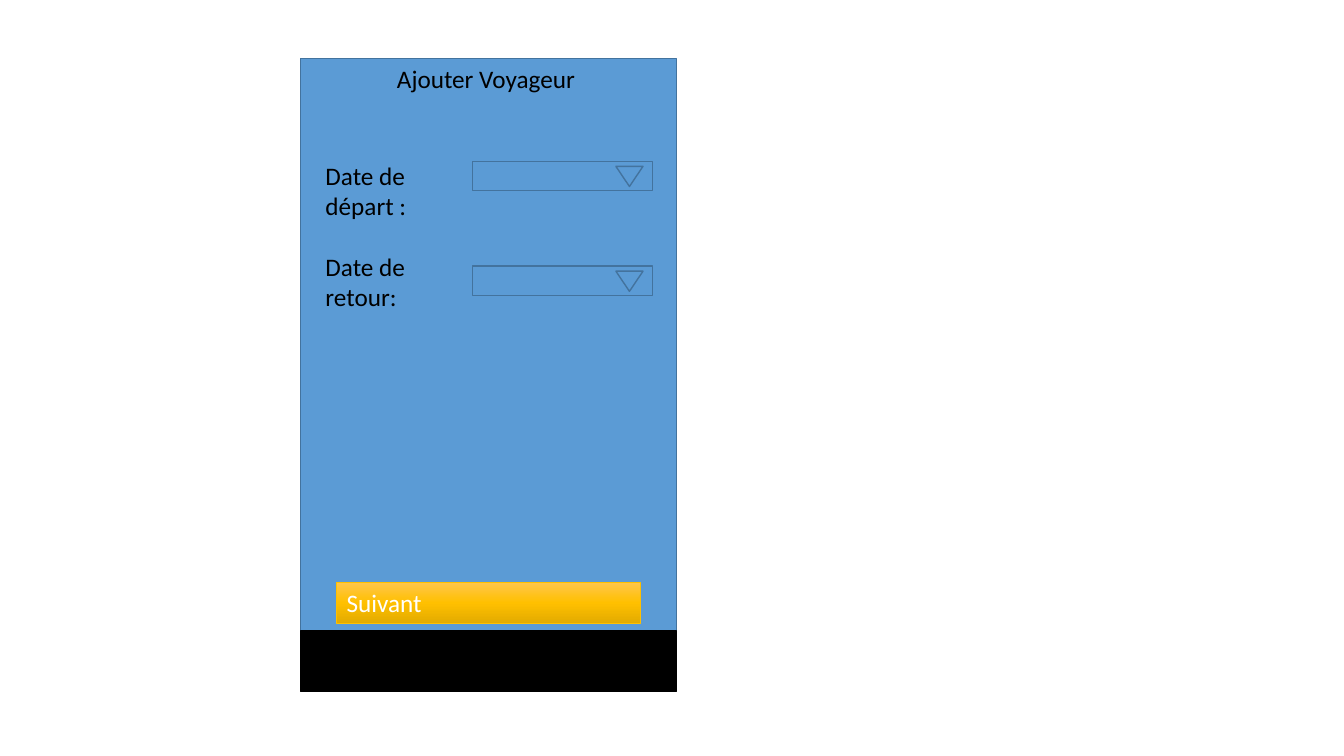
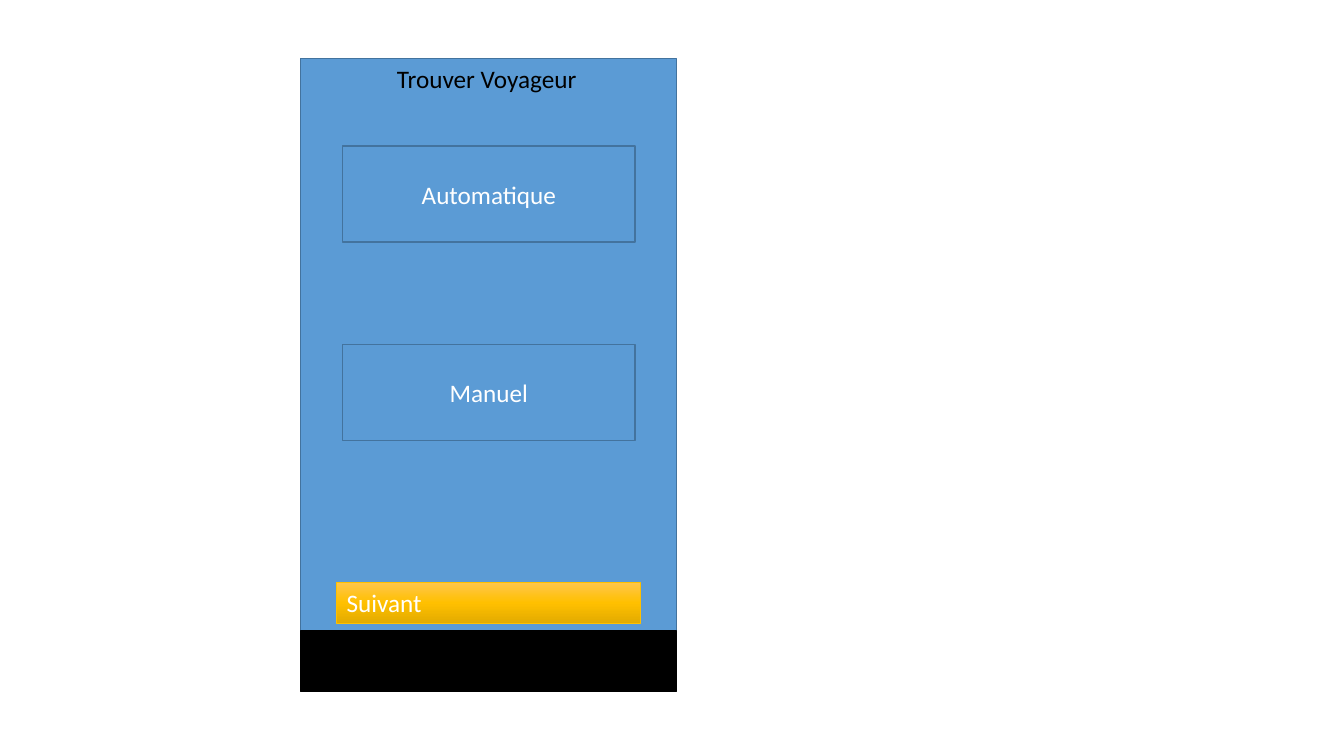
from copy import deepcopy

from pptx import Presentation
from pptx.dml import color
from pptx.enum import shapes, text
from pptx.oxml import ns
from pptx.util import Pt

COLORS = {
    "screen": "5B9BD5",
    "outline": "43739E",
    "black": "000000",
    "white": "FFFFFF",
    "gold_light": "FFC64B",
    "gold": "FFC000",
    "gold_dark": "E3AB00",
}
FONT = "Calibri"
TEXT_SIZE = 18
PHONE = (214.6, 41.8, 268.6, 451.4)
RECTANGLE = shapes.MSO_SHAPE.RECTANGLE
TRIANGLE = shapes.MSO_SHAPE.ISOSCELES_TRIANGLE


def rgb(name):
    return color.RGBColor.from_string(COLORS[name])


def within(box, left, top, width, height):
    return box[0] + left, box[1] + top, width, height


def write(shape, content, color_name, align=text.PP_ALIGN.LEFT, anchor=text.MSO_ANCHOR.TOP):
    frame = shape.text_frame
    frame.word_wrap = True
    frame.vertical_anchor = anchor
    frame.text = content
    paragraph = frame.paragraphs[0]
    paragraph.alignment = align
    font = paragraph.runs[0].font
    font.name = FONT
    font.size = Pt(TEXT_SIZE)
    font.color.rgb = rgb(color_name)


def add_label(slide, box, content):
    label = slide.shapes.add_textbox(*map(Pt, box))
    write(label, content, "black")


def add_block(slide, box, fill="screen", line="outline", kind=RECTANGLE, weight=1):
    shape = slide.shapes.add_shape(kind, *map(Pt, box))
    shape.shadow.inherit = False
    shape.fill.solid()
    shape.fill.fore_color.rgb = rgb(fill)
    shape.line.color.rgb = rgb(line)
    shape.line.width = Pt(weight)
    return shape


def add_next_button(slide, box):
    button = add_block(slide, box, "gold", "gold", weight=0.5)
    button.fill.gradient()
    button.fill.gradient_angle = 270
    stop_list = button._element.spPr.find(".//" + ns.qn("a:gsLst"))
    stop_list.append(deepcopy(stop_list[0]))
    names = ("gold_light", "gold", "gold_dark")
    for index, (stop, name) in enumerate(zip(button.fill.gradient_stops, names)):
        stop.position = index / 2
        stop.color.rgb = rgb(name)
    write(button, "Suivant", "white")


def add_phone(slide, box, title):
    add_block(slide, box)
    add_block(slide, within(box, 0, 409, box[2], 43), "black", "black")
    add_label(slide, within(box, 61.9, 0, 149, 29), title)
    add_next_button(slide, within(box, 25.9, 374.4, 216.7, 28.8))


def add_dropdown(slide, box):
    add_block(slide, box)
    arrow = add_block(slide, within(box, 102.2, 3.6, 19.4, 14.4), kind=TRIANGLE)
    arrow.rotation = 180


def add_date_form(slide, box, labels):
    for index, label in enumerate(labels):
        add_label(slide, within(box, 10.8, 69.1 + index * 64.8, 121, 51), label)
        add_dropdown(slide, within(box, 123.1, 73.4 + index * 74.9, 128.2, 20.9))


def add_choices(slide, box, choices):
    for index, choice in enumerate(choices):
        button = add_block(slide, within(box, 30.2, 62.6 + index * 141.8, 208.8, 68.4))
        write(button, choice, "white", text.PP_ALIGN.CENTER, text.MSO_ANCHOR.MIDDLE)


def main():
    presentation = Presentation()
    presentation.slide_width = Pt(960)
    presentation.slide_height = Pt(540)
    screens = (
        ("Ajouter Voyageur", add_date_form, ("Date de départ :", "Date de retour:")),
        ("Trouver Voyageur", add_choices, ("Automatique", "Manuel")),
    )
    for title, add_content, entries in screens:
        slide = presentation.slides.add_slide(presentation.slide_layouts[6])
        add_phone(slide, PHONE, title)
        add_content(slide, PHONE, entries)
    presentation.save("out.pptx")


if __name__ == "__main__":
    main()
